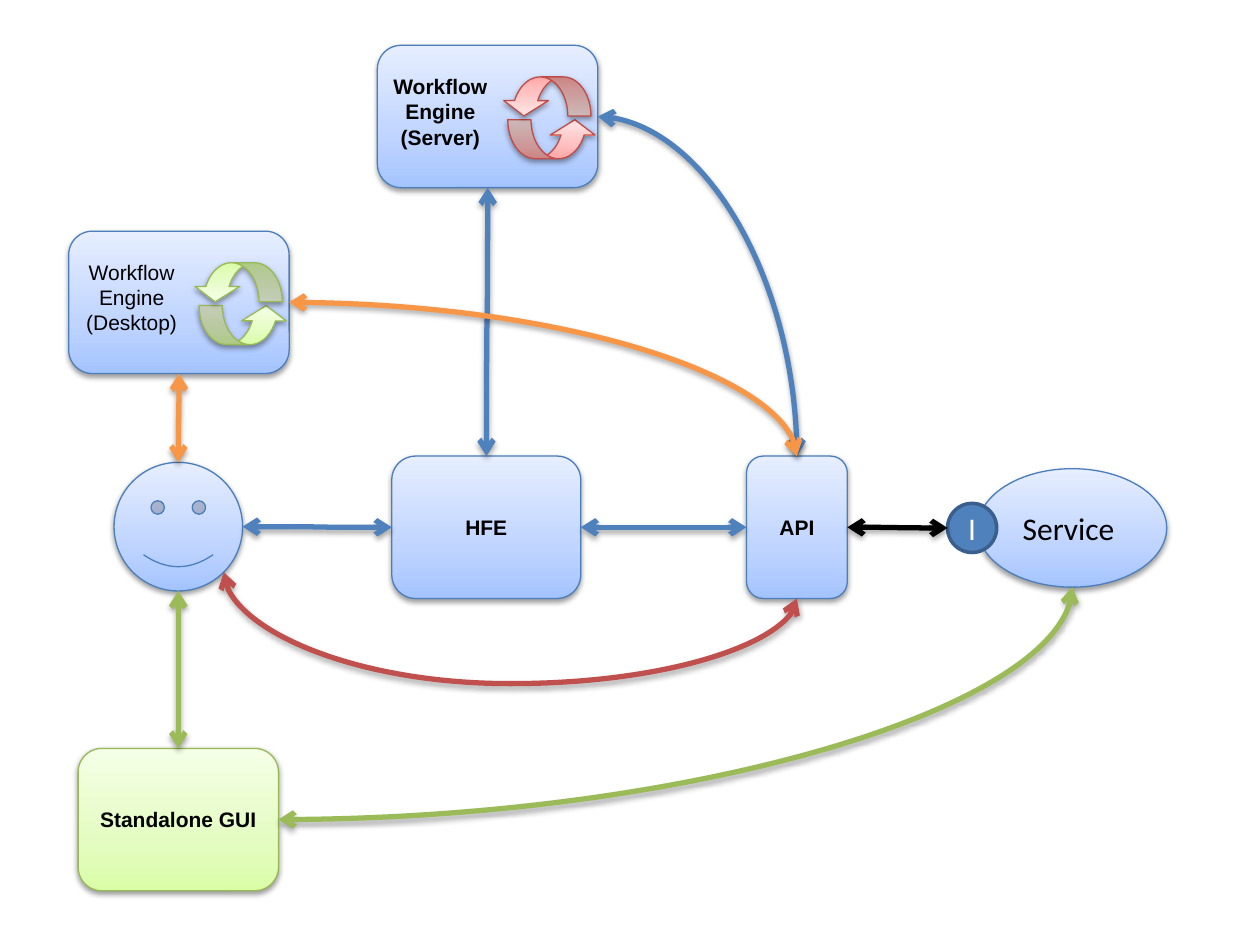
from copy import deepcopy
from pptx import Presentation
from pptx.dml.color import RGBColor
from pptx.enum.shapes import MSO_CONNECTOR, MSO_SHAPE
from pptx.enum.text import MSO_ANCHOR, MSO_AUTO_SIZE, PP_ALIGN
from pptx.oxml.ns import qn
from pptx.oxml.xmlchemy import OxmlElement
from pptx.util import Inches, Pt

COLS, ROWS = 100, 75  # grid of the slide
HUE = {
    "blue": "4F81BD", "navy": "3A5F8C", "green": "9BBB59", "red": "C0504D",
    "orange": "F79646", "black": "000000", "white": "FFFFFF",
}
# Gradient stops from bottom to top, then the outline
TINT = {
    "blue": ("A4C4FF", "BFD4FF", "E6EEFF", "4B7EBC"),
    "red": ("FFA6A5", "FFC0BF", "FFE7E7", "BF4C48"),
    "green": ("DAFDA7", "E4FCC2", "F5FFE7", "98B955"),
}
# Each side: share of width, share of height, site on a box, site on an oval
SIDES = {
    "top": (0.5, 0, 0, 0), "left": (0, 0.5, 1, 2), "bottom": (0.5, 1, 2, 4),
    "right": (1, 0.5, 3, 6), "corner": (0.854, 0.854, None, 5),
}
ROUND, OVAL = MSO_SHAPE.ROUNDED_RECTANGLE, MSO_SHAPE.OVAL


def node(tag, **attrs):
    item = OxmlElement(tag)
    for key, val in attrs.items():
        item.set(key, str(val))
    return item


class Chart:
    def __init__(self):
        self.deck = Presentation()
        self.deck.slide_width, self.deck.slide_height = Inches(10), Inches(7.5)
        self.col = self.deck.slide_width / COLS
        self.row = self.deck.slide_height / ROWS
        self.slide = self.deck.slides.add_slide(self.deck.slide_layouts[6])
        self.shapes = self.slide.shapes

    def place(self, x, y, w, h):
        return [round(n) for n in (x * self.col, y * self.row,
                                   w * self.col, h * self.row)]

    def glow(self, props, dist, alpha):
        """Soft shadow straight below."""
        for old in props.findall(qn("a:effectLst")):
            props.remove(old)
        fx, drop = node("a:effectLst"), node(
            "a:outerShdw", blurRad=40000, dist=dist, dir=5400000, rotWithShape=0)
        tone = node("a:srgbClr", val=HUE["black"])
        tone.append(node("a:alpha", val=alpha * 1000))
        drop.append(tone)
        fx.append(drop)
        props.append(fx)

    def words(self, shape, lines, size=12, font="Arial", bold=False, hue="black"):
        frame = shape.text_frame
        frame.vertical_anchor = MSO_ANCHOR.MIDDLE
        for i, line in enumerate(lines):
            par = frame.add_paragraph() if i else frame.paragraphs[0]
            par.alignment = PP_ALIGN.CENTER
            run = par.add_run()
            run.text = line
            run.font.name, run.font.size, run.font.bold = font, Pt(size), bold
            run.font.color.rgb = RGBColor.from_string(HUE[hue])

    def form(self, kind, spot, tint="blue"):
        """Preset shape with a gradient and a shadow."""
        shape = self.shapes.add_shape(kind, *self.place(*spot))
        *stops, edge = TINT[tint]
        shape.fill.gradient()
        shape.fill.gradient_angle = 90
        bag = shape._element.spPr.find(qn("a:gradFill")).find(qn("a:gsLst"))
        bag.append(deepcopy(bag[-1]))
        for stop, hue, pos in zip(shape.fill.gradient_stops, stops, (0, 0.35, 1)):
            stop.color.rgb = RGBColor.from_string(hue)
            stop.position = pos
        shape.line.color.rgb = RGBColor.from_string(edge)
        shape.line.width = Pt(0.75)
        shape.shadow.inherit = False
        self.glow(shape._element.spPr, 20000, 38)
        return shape

    def dot(self, spot, text):
        shape = self.shapes.add_shape(OVAL, *self.place(*spot))
        shape.fill.solid()
        shape.fill.fore_color.rgb = RGBColor.from_string(HUE["blue"])
        shape.line.color.rgb = RGBColor.from_string(HUE["navy"])
        shape.line.width = Pt(2)
        shape.shadow.inherit = False
        self.words(shape, [text], 18, "Calibri", hue="white")
        return shape

    def label(self, spot, lines, bold):
        box = self.shapes.add_textbox(*self.place(*spot))
        box.text_frame.word_wrap = False
        box.text_frame.auto_size = MSO_AUTO_SIZE.SHAPE_TO_FIT_TEXT
        self.words(box, lines, bold=bold)
        return box

    def engine(self, x, y, place, tint, bold=False):
        """Box with a label and a pair of cycle arrows."""
        body = self.form(ROUND, (x, y, 17.5, 11.3))
        parts = [body]
        for dx, dy, turn in ((10.35, 5.9, 0), (9.85, 2.5, 180)):
            arrow = self.form(MSO_SHAPE.CURVED_UP_ARROW,
                              (x + dx, y + dy, 7.1, 3.1), tint)
            for i, val in enumerate((0.594, 1.152, 0.393)):
                arrow.adjustments[i] = val
            arrow.rotation = turn
            parts.append(arrow)
        lines = ["Workflow", "Engine", f"({place})"]
        parts.append(self.label((x + 0.05, y + 1.7, 9.9, 7.1), lines, bold))
        self.shapes.add_group_shape(parts)
        return body

    def link(self, start, out, end, into, hue, bend=None):
        """Curved two-way arrow glued to the sides of two shapes."""
        ends = []
        for shape, side in ((start, out), (end, into)):
            fx, fy, *sites = SIDES[side]
            ends.append((round(shape.left + fx * shape.width),
                         round(shape.top + fy * shape.height),
                         sites[shape.auto_shape_type != ROUND]))
        (x1, y1, site1), (x2, y2, site2) = ends
        line = self.shapes.add_connector(MSO_CONNECTOR.CURVE, x1, y1, x2, y2)
        line.begin_connect(start, site1) if site1 < 4 else None
        line.end_connect(end, site2) if site2 < 4 else None
        # A path that leaves vertically is a horizontal one turned by 90 degrees
        flat = [side in ("left", "right") for side in (out, into)]
        wide, high = abs(x2 - x1), abs(y2 - y1)
        flips = (x2 < x1, y2 < y1)
        if not flat[0]:
            wide, high, flips = high, wide, (y2 < y1, x2 > x1)
        line.left, line.top = (x1 + x2 - wide) // 2, (y1 + y2 - high) // 2
        line.width, line.height = wide, high
        props = line._element.spPr
        frame = props.find(qn("a:xfrm"))
        frame.set("rot", "0" if flat[0] else "5400000")
        for key, val in zip(("flipH", "flipV"), flips):
            frame.set(key, str(int(val)))
        geom = props.find(qn("a:prstGeom"))
        geom.set("prst", f"curvedConnector{3 if flat[0] == flat[1] else 2}")
        if bend:
            geom.find(qn("a:avLst")).append(
                node("a:gd", name="adj1", fmla=f"val {round(bend * 100000)}"))
        # Stroke, arrowheads and shadow
        line.line.color.rgb = RGBColor.from_string(HUE[hue])
        line.line.width = Pt(3)
        for tag in ("a:headEnd", "a:tailEnd"):
            props.find(qn("a:ln")).append(node(tag, type="arrow"))
        self.glow(props, 23000, 35)


art = Chart()

# Middle row: user, front end, interface and service
user = art.form(MSO_SHAPE.SMILEY_FACE, (9.05, 36.7, 10.2, 10.2))
hfe = art.form(ROUND, (31.1, 36.2, 15, 11.3))
api = art.form(ROUND, (59.25, 36.2, 8, 11.3))
serve = art.form(OVAL, (77.6, 37.2, 15, 9.4))
port = art.dot((75.2, 39.95, 3.9, 3.9), "I")
art.words(serve, ["Service "], 18, "Calibri")
art.shapes.add_group_shape([serve, port])

# Engines above, desktop tool below
server = art.engine(29.95, 3.6, "Server", "red", True)
desk = art.engine(5.45, 18.35, "Desktop", "green")
gui = art.form(ROUND, (6.2, 59.4, 15.9, 11.3), "green")
for box, text in ((hfe, "HFE"), (api, "API"), (gui, "Standalone GUI")):
    art.words(box, [text], bold=True)

# Links
for route in (
    (user, "right", hfe, "left", "blue"),
    (hfe, "right", api, "left", "blue"),
    (hfe, "top", server, "bottom", "blue"),
    (server, "right", api, "top", "blue"),
    (api, "right", port, "left", "black"),
    (serve, "bottom", gui, "right", "green"),
    (user, "corner", api, "bottom", "red", 4.23),
    (user, "bottom", gui, "top", "green"),
    (user, "top", desk, "bottom", "orange"),
    (api, "top", desk, "right", "orange"),
):
    art.link(*route)

art.deck.save("out.pptx")
